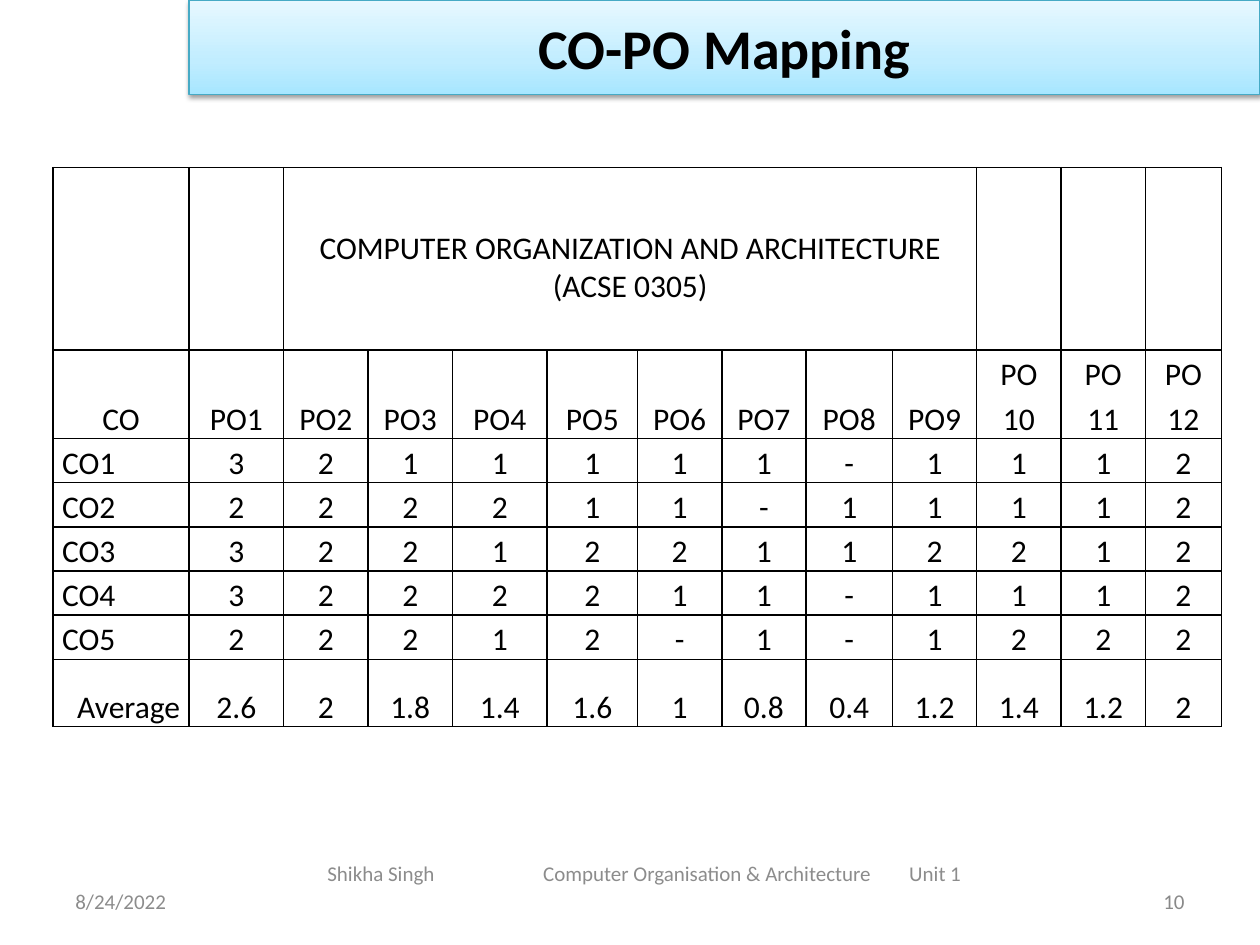
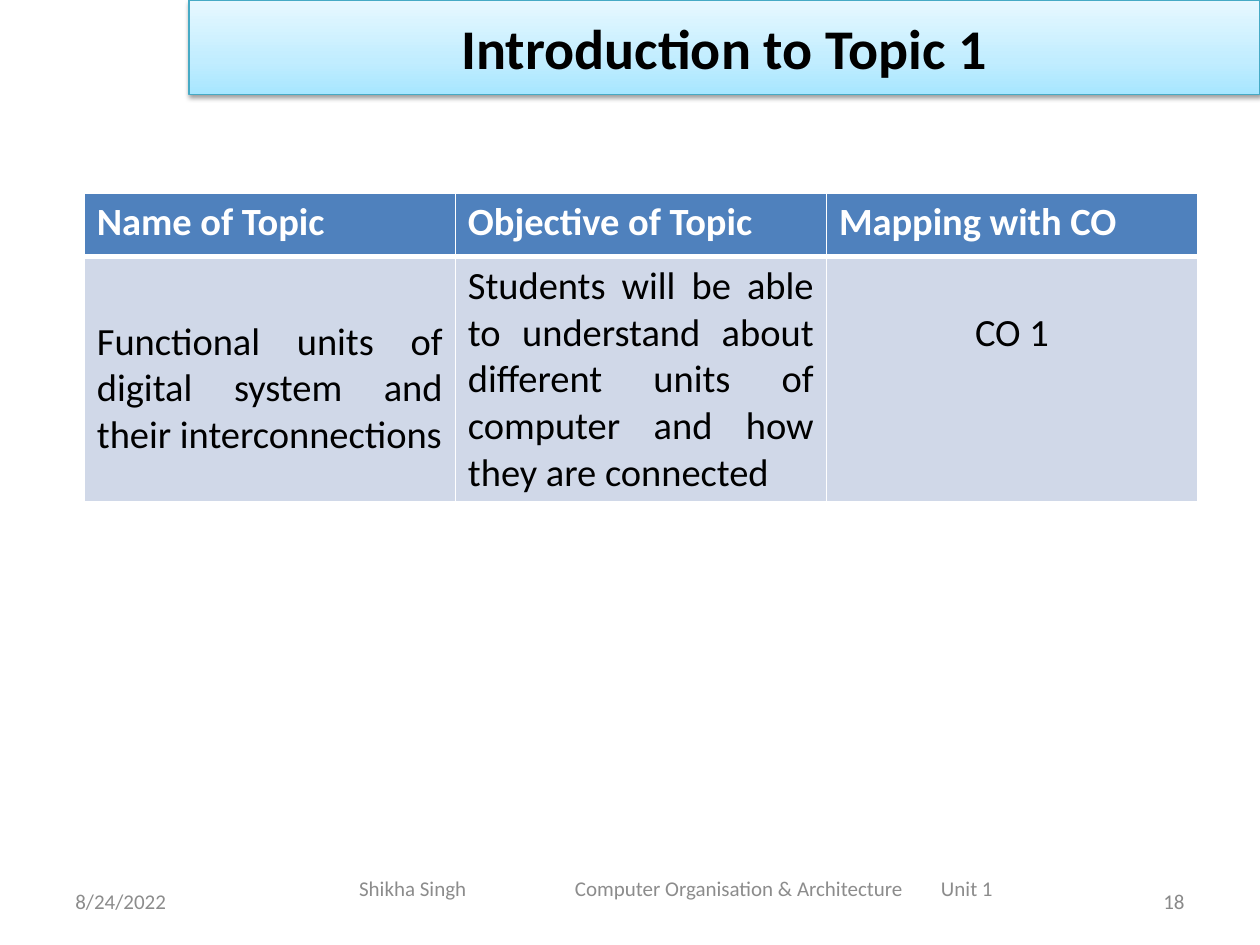
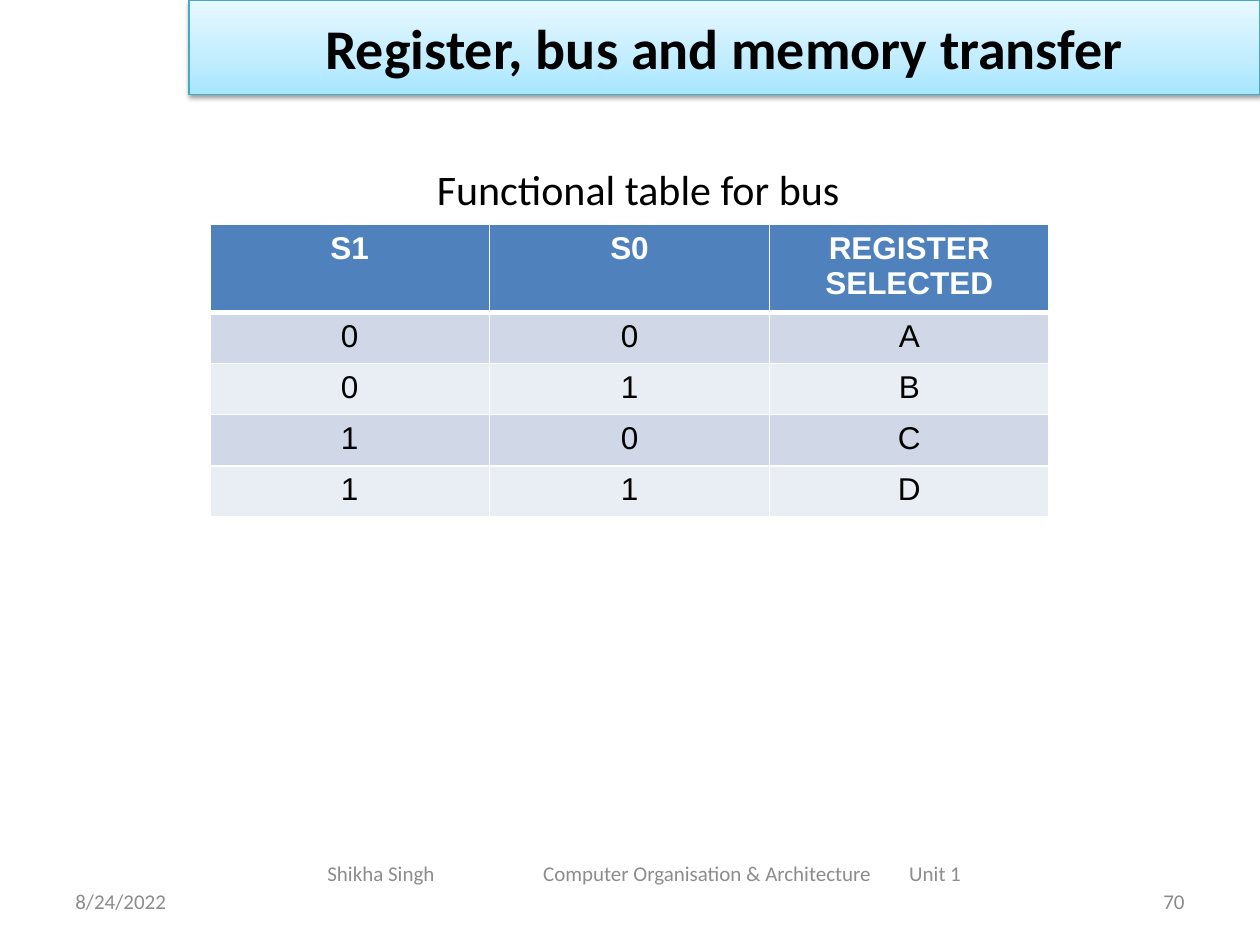
from lxml import etree
from pptx import Presentation
from pptx.dml.color import RGBColor
from pptx.enum.shapes import MSO_SHAPE
from pptx.enum.text import MSO_ANCHOR, PP_ALIGN
from pptx.oxml.ns import qn
from pptx.util import Cm, Pt

RECTANGLE = MSO_SHAPE.RECTANGLE
LEFT, CENTER, RIGHT, JUSTIFY = PP_ALIGN.LEFT, PP_ALIGN.CENTER, PP_ALIGN.RIGHT, PP_ALIGN.JUSTIFY
TOP, MIDDLE, BOTTOM = MSO_ANCHOR.TOP, MSO_ANCHOR.MIDDLE, MSO_ANCHOR.BOTTOM

BLACK, WHITE = "000000", "FFFFFF"
FOOTER_GREY, NUMBER_GREY = "8C8C8C", "898989"
TITLE_LINE = "46AAC5"
TITLE_GRADIENT = [(0, "A7E6FF"), (35, "C1EDFF"), (100, "E7F8FF")]
HEADER_FILL = "4F81BD"
BAND_FILLS = ["D0D8E8", "E9EDF4"]

FOOTER_PARTS = ["Shikha Singh", "Computer Organisation & Architecture", "Unit 1"]
FOOTER_TABS = [4.35, 11.73]

CO_PO_COLUMNS = [2.74, 1.91, 1.7, 1.7, 1.91, 1.82, 1.7, 1.7, 1.74, 1.7, 1.7, 1.7, 1.53]
CO_PO_ROWS = [3.68, 1.78] + [0.89] * 5 + [1.36]
CO_PO_LEVELS = [
    "3 2 1 1 1 1 1 - 1 1 1 2",
    "2 2 2 2 1 1 - 1 1 1 1 2",
    "3 2 2 1 2 2 1 1 2 2 1 2",
    "3 2 2 2 2 1 1 - 1 1 1 2",
    "2 2 2 1 2 - 1 - 1 2 2 2",
]


def color(value):
    """Turn a hex string into a colour."""
    return RGBColor.from_string(value)


def add_child(parent, tag, **attributes):
    """Append an XML element with the given attributes."""
    child = etree.SubElement(parent, qn(tag))
    for name, value in attributes.items():
        child.set(name, str(value))
    return child


def add_run(paragraph, text, size, hex_color, bold=False, font="Calibri"):
    """Add one formatted run."""
    run = paragraph.add_run()
    run.text = text
    run.font.name = font
    run.font.size = Pt(size)
    run.font.bold = bold
    run.font.color.rgb = color(hex_color)


def add_text(slide, box, text, size, hex_color, align=LEFT, anchor=MIDDLE):
    """Add a wrapping text box with one paragraph."""
    shape = slide.shapes.add_textbox(*map(Cm, box))
    frame = shape.text_frame
    frame.word_wrap = True
    frame.vertical_anchor = anchor
    paragraph = frame.paragraphs[0]
    paragraph.alignment = align
    add_run(paragraph, text, size, hex_color)


def add_title_band(slide, title):
    """Add the shaded title band with its gradient and shadow."""
    shape = slide.shapes.add_shape(RECTANGLE, Cm(3.81), Cm(0), Cm(21.59), Cm(1.9))
    shape.shadow.inherit = False
    shape.line.color.rgb = color(TITLE_LINE)
    shape.line.width = Pt(0.75)
    properties = shape.element.spPr
    gradient = add_child(properties, "a:gradFill", rotWithShape=1)
    stops = add_child(gradient, "a:gsLst")
    for position, hex_color in TITLE_GRADIENT:
        stop = add_child(stops, "a:gs", pos=position * 1000)
        add_child(stop, "a:srgbClr", val=hex_color)
    add_child(gradient, "a:lin", ang=270 * 60000, scaled=0)
    properties.find(qn("a:prstGeom")).addnext(gradient)
    shadow = add_child(properties.find(qn("a:effectLst")), "a:outerShdw",
                       blurRad=Pt(3.1), dist=Pt(1.6), dir=90 * 60000, rotWithShape=0)
    add_child(add_child(shadow, "a:srgbClr", val=BLACK), "a:alpha", val=38000)
    shape.text_frame.vertical_anchor = MIDDLE
    paragraph = shape.text_frame.paragraphs[0]
    paragraph.alignment = CENTER
    add_run(paragraph, title, 32, BLACK, bold=True)


def add_footer(slide, left, top):
    """Add the course footer, its parts set apart by tab stops."""
    shape = slide.shapes.add_textbox(Cm(left), Cm(top), Cm(13.97), Cm(1.02))
    frame = shape.text_frame
    frame.word_wrap = True
    frame.margin_top = 0
    paragraph = frame.paragraphs[0]
    tabs = add_child(paragraph._p.get_or_add_pPr(), "a:tabLst")
    for position in FOOTER_TABS:
        add_child(tabs, "a:tab", pos=Cm(position), algn="l")
    add_run(paragraph, "\t".join(FOOTER_PARTS), 12, FOOTER_GREY)


def add_course_slide(presentation, title, number, footer_left=6.35, footer_top=17.35):
    """Add a blank slide with the title band, date, footer and slide number."""
    slide = presentation.slides.add_slide(presentation.slide_layouts[6])
    add_title_band(slide, title)
    add_text(slide, (1.27, 17.65, 5.92, 1.02), "8/24/2022", 12, FOOTER_GREY)
    add_text(slide, (18.21, 17.65, 5.92, 1.02), str(number), 12, NUMBER_GREY, RIGHT)
    add_footer(slide, footer_left, footer_top)
    return slide


def add_grid(slide, left, top, widths, heights):
    """Add an unbanded table with the given column widths and row heights."""
    frame = slide.shapes.add_table(len(heights), len(widths), Cm(left), Cm(top),
                                   Cm(sum(widths)), Cm(sum(heights)))
    table = frame.table
    table.first_row = False
    table.horz_banding = False
    for column, width in zip(table.columns, widths):
        column.width = Cm(width)
    for row, height in zip(table.rows, heights):
        row.height = Cm(height)
    return table


def set_borders(cell, hex_color, top=1, bottom=1):
    """Draw the four borders of a cell."""
    properties = cell._tc.get_or_add_tcPr()
    for side, width in [("L", 1), ("R", 1), ("T", top), ("B", bottom)]:
        line = add_child(properties, f"a:ln{side}", w=Pt(width))
        add_child(add_child(line, "a:solidFill"), "a:srgbClr", val=hex_color)


def add_banded_table(slide, left, top, widths, heights, rows, size, font, alignments):
    """Add a table with a blue header row and banded body rows."""
    table = add_grid(slide, left, top, widths, heights)
    for row_index, texts in enumerate(rows):
        header = row_index == 0
        fill = HEADER_FILL if header else BAND_FILLS[(row_index - 1) % 2]
        for column_index, text in enumerate(texts):
            cell = table.cell(row_index, column_index)
            set_borders(cell, WHITE, top=3 if row_index == 1 else 1, bottom=3 if header else 1)
            cell.fill.solid()
            cell.fill.fore_color.rgb = color(fill)
            paragraph = cell.text_frame.paragraphs[0]
            paragraph.alignment = alignments[min(row_index, 1)][column_index]
            add_run(paragraph, text, size, WHITE if header else BLACK, header, font)
    return table


def co_po_rows():
    """Return the CO-PO table's text rows with the averages worked out."""
    levels = [line.split() for line in CO_PO_LEVELS]
    outcomes = [f"PO{n}" if n < 10 else f"PO {n}" for n in range(1, 13)]
    averages = [f"{sum(int(v) for v in column if v != '-') / len(levels):g}"
                for column in zip(*levels)]
    course = [""] * 13
    course[2] = "COMPUTER ORGANIZATION AND ARCHITECTURE (ACSE 0305)"
    body = [[f"CO{n}"] + values for n, values in enumerate(levels, 1)]
    return [course, ["CO"] + outcomes] + body + [["Average"] + averages]


def add_co_po_table(slide):
    """Add the black-ruled CO-PO mapping table."""
    table = add_grid(slide, 1.07, 3.38, CO_PO_COLUMNS, CO_PO_ROWS)
    rows = co_po_rows()
    label_alignments = [CENTER] * 2 + [LEFT] * 5 + [RIGHT]
    for row_index, texts in enumerate(rows):
        for column_index, text in enumerate(texts):
            cell = table.cell(row_index, column_index)
            set_borders(cell, BLACK)
            cell.fill.background()
            cell.vertical_anchor = BOTTOM
            cell.margin_left = cell.margin_right = Cm(0.18)
            cell.margin_top = cell.margin_bottom = 0
            if not text:
                continue
            paragraph = cell.text_frame.paragraphs[0]
            paragraph.alignment = CENTER if column_index else label_alignments[row_index]
            paragraph.line_spacing = 1.15 if row_index else 1.0
            add_run(paragraph, text, 18, BLACK)
    course = table.cell(0, 2)
    course.margin_bottom = Cm(0.89)
    course.merge(table.cell(0, 9))


def add_topic_table(slide):
    """Add the table of topic, objective and course outcome."""
    rows = [
        ["Name of Topic", "Objective of Topic", "Mapping with CO"],
        ["Functional units of digital system and their interconnections",
         "Students will be able to understand about different units of computer "
         "and how they are connected",
         "CO 1"],
    ]
    table = add_banded_table(slide, 1.7, 3.89, [7.48] * 3, [1.28, 4.95], rows, 22, "Calibri",
                             [[LEFT] * 3, [JUSTIFY, JUSTIFY, CENTER]])
    table.cell(1, 0).margin_top = Cm(1.25)
    table.cell(1, 2).margin_top = Cm(1.07)


def add_bus_table(slide):
    """Add the bus selection table with its caption."""
    add_text(slide, (1.22, 3.18, 23.29, 1.3), "Functional table for bus", 24, BLACK, CENTER, TOP)
    rows = [["S1", "S0", "REGISTER SELECTED"]]
    rows += [[str(n // 2), str(n % 2), register] for n, register in enumerate("ABCD")]
    add_banded_table(slide, 4.23, 4.52, [5.64] * 3, [1.78] + [1.03] * 4, rows, 18, "Arial",
                     [[CENTER] * 3] * 2)


def main():
    """Build and save the presentation."""
    presentation = Presentation()
    presentation.slide_width = Cm(25.4)
    presentation.slide_height = Cm(19.05)
    add_co_po_table(add_course_slide(presentation, "CO-PO Mapping", 10))
    add_topic_table(add_course_slide(presentation, "Introduction to Topic 1", 18, 6.99, 17.65))
    add_bus_table(add_course_slide(presentation, "Register, bus and memory transfer", 70))
    presentation.save("out.pptx")


if __name__ == "__main__":
    main()
